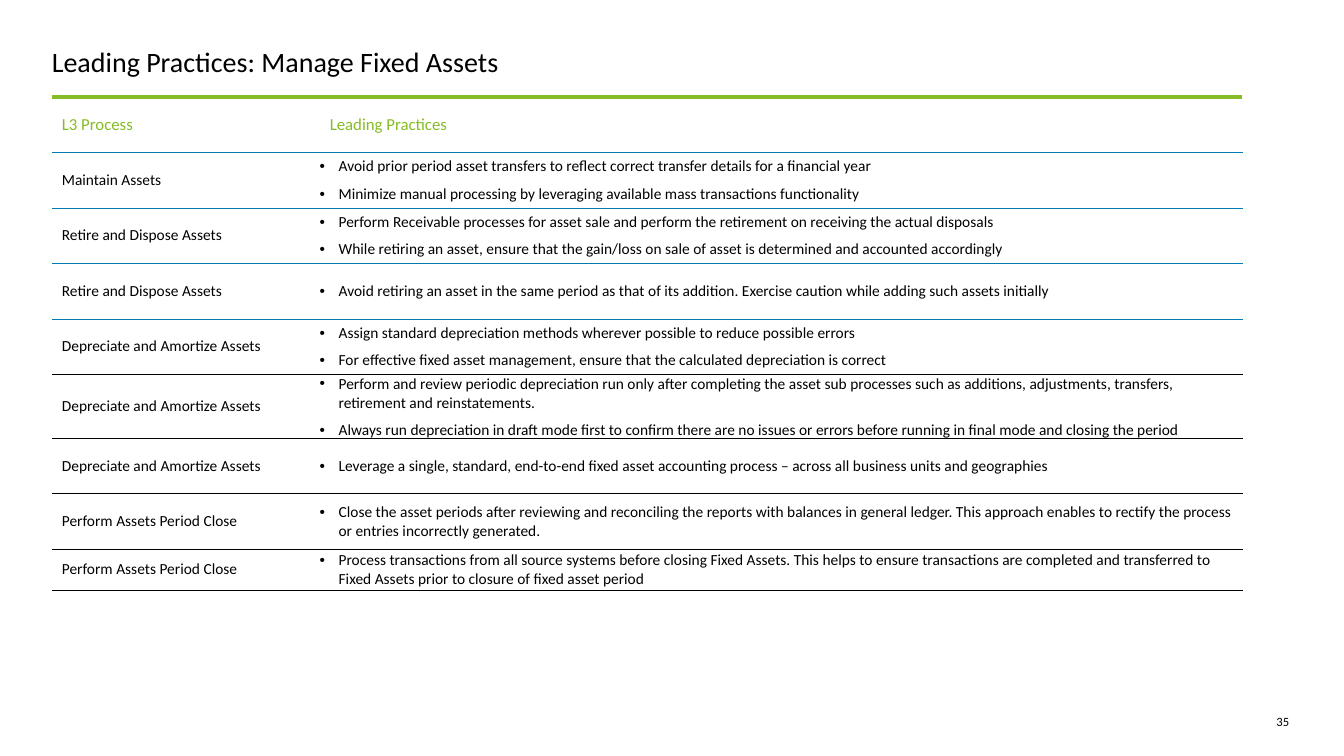
from dataclasses import dataclass

import pptx
import pptx.dml.color
import pptx.enum.text
import pptx.oxml
import pptx.oxml.ns
import pptx.util
from lxml import etree

Pt = pptx.util.Pt
PP_ALIGN = pptx.enum.text.PP_ALIGN


@dataclass(frozen=True)
class Theme:
    font: str = "Calibri"
    text: str = "000000"
    green: str = "86BC25"
    blue: str = "007CB0"
    white: str = "FFFFFF"
    title_size: float = 20
    header_size: float = 12
    body_size: float = 11
    number_size: float = 9


@dataclass(frozen=True)
class Border:
    color: str
    width: float


@dataclass(frozen=True)
class PracticeRow:
    process: str
    practices: tuple[str, ...]
    height: float = 39.6


THEME = Theme()
HEADER_RULE = Border(THEME.green, 3)
BLUE_RULE = Border(THEME.blue, 0.25)
BLACK_RULE = Border(THEME.text, 0.25)
HEADER_EDGE = Border(THEME.white, 0.5)
BLUE_RULE_COUNT = 4
HEADER_HEIGHT = 39.6
COLUMN_WIDTHS = (191.4, 659.3)
LABEL_INSET = 7.2
BULLET_INDENT = 13.5
NO_STYLE_ID = "{2D5ABB26-0587-4C30-8999-92F81FD0307C}"

ROWS = (
    PracticeRow("Maintain Assets", (
        "Avoid prior period asset transfers to reflect correct transfer details for a financial year",
        "Minimize manual processing by leveraging available mass transactions functionality",
    )),
    PracticeRow("Retire and Dispose Assets", (
        "Perform Receivable processes for asset sale and perform the retirement on receiving the actual disposals",
        "While retiring an asset, ensure that the gain/loss on sale of asset is determined and accounted accordingly",
    )),
    PracticeRow("Retire and Dispose Assets", (
        "Avoid retiring an asset in the same period as that of its addition. "
        "Exercise caution while adding such assets initially",
    )),
    PracticeRow("Depreciate and Amortize Assets", (
        "Assign standard depreciation methods wherever possible to reduce possible errors",
        "For effective fixed asset management, ensure that the calculated depreciation is correct",
    )),
    PracticeRow("Depreciate and Amortize Assets", (
        "Perform and review periodic depreciation run only after completing the asset sub processes "
        "such as additions, adjustments, transfers, retirement and reinstatements.",
        "Always run depreciation in draft mode first to confirm there are no issues or errors "
        "before running in final mode and closing the period",
    )),
    PracticeRow("Depreciate and Amortize Assets", (
        "Leverage a single, standard, end-to-end fixed asset accounting process – "
        "across all business units and geographies",
    )),
    PracticeRow("Perform Assets Period Close", (
        "Close the asset periods after reviewing and reconciling the reports with balances in general ledger. "
        "This approach enables to rectify the process or entries incorrectly generated.",
    )),
    PracticeRow("Perform Assets Period Close", (
        "Process transactions from all source systems before closing Fixed Assets. "
        "This helps to ensure transactions are completed and transferred to "
        "Fixed Assets prior to closure of fixed asset period",
    ), height=29.5),
)


def write_text(text_frame, *lines: str, size: float, color: str = THEME.text,
               align=PP_ALIGN.LEFT, bulleted: bool = False) -> None:
    """Write one paragraph per line into an empty text frame."""
    for index, line in enumerate(lines):
        paragraph = text_frame.add_paragraph() if index else text_frame.paragraphs[0]
        paragraph.alignment = align
        if bulleted:
            paragraph.space_after = Pt(6)
            properties = paragraph._p.get_or_add_pPr()
            properties.set("marL", str(Pt(BULLET_INDENT)))
            properties.set("indent", str(-Pt(BULLET_INDENT)))
            etree.SubElement(properties, pptx.oxml.ns.qn("a:buFont")).set("typeface", "Arial")
            etree.SubElement(properties, pptx.oxml.ns.qn("a:buChar")).set("char", "•")
        run = paragraph.add_run()
        run.text = line
        run.font.name = THEME.font
        run.font.size = Pt(size)
        run.font.color.rgb = pptx.dml.color.RGBColor.from_string(color)


def add_text_box(slide, left: float, top: float, width: float, height: float,
                 text: str, **text_format) -> None:
    text_frame = slide.shapes.add_textbox(Pt(left), Pt(top), Pt(width), Pt(height)).text_frame
    text_frame.word_wrap = True
    text_frame.margin_left = text_frame.margin_right = 0
    text_frame.margin_top = text_frame.margin_bottom = 0
    write_text(text_frame, text, **text_format)


def set_borders(cell, top: Border, bottom: Border, right: Border | None = None) -> None:
    properties = cell._tc.get_or_add_tcPr()
    for side, border in (("L", None), ("R", right), ("T", top), ("B", bottom)):
        line = etree.SubElement(properties, pptx.oxml.ns.qn(f"a:ln{side}"))
        if border is None:
            line.set("w", "0")
            etree.SubElement(line, pptx.oxml.ns.qn("a:noFill"))
        else:
            line.set("w", str(Pt(border.width)))
            fill = etree.SubElement(line, pptx.oxml.ns.qn("a:solidFill"))
            etree.SubElement(fill, pptx.oxml.ns.qn("a:srgbClr")).set("val", border.color)


def fill_cell(cell, *lines: str, top: Border, bottom: Border, inset: float = LABEL_INSET,
              right: Border | None = None, fill: str | None = None, **text_format) -> None:
    cell.vertical_anchor = pptx.enum.text.MSO_ANCHOR.MIDDLE
    cell.margin_left = cell.margin_right = Pt(inset)
    cell.margin_top = cell.margin_bottom = Pt(inset)
    set_borders(cell, top, bottom, right)
    if fill is None:
        cell.fill.background()
    else:
        cell.fill.solid()
        cell.fill.fore_color.rgb = pptx.dml.color.RGBColor.from_string(fill)
    write_text(cell.text_frame, *lines, **text_format)


def add_practice_table(slide, left: float, top: float) -> None:
    heights = (HEADER_HEIGHT, *(row.height for row in ROWS))
    frame = slide.shapes.add_table(len(heights), len(COLUMN_WIDTHS), Pt(left), Pt(top),
                                   Pt(sum(COLUMN_WIDTHS)), Pt(sum(heights)))
    table = frame.table
    table.first_row = table.horz_banding = False
    table._tbl.tblPr.find(pptx.oxml.ns.qn("a:tableStyleId")).text = NO_STYLE_ID
    for column, width in zip(table.columns, COLUMN_WIDTHS):
        column.width = Pt(width)
    for table_row, height in zip(table.rows, heights):
        table_row.height = Pt(height)

    header = dict(top=HEADER_RULE, bottom=BLUE_RULE, size=THEME.header_size, color=THEME.green)
    fill_cell(table.cell(0, 0), "L3 Process", **header)
    fill_cell(table.cell(0, 1), "Leading Practices", right=HEADER_EDGE, fill=THEME.white, **header)

    for index, row in enumerate(ROWS, start=1):
        body = dict(top=BLUE_RULE if index <= BLUE_RULE_COUNT else BLACK_RULE,
                    bottom=BLUE_RULE if index < BLUE_RULE_COUNT else BLACK_RULE,
                    size=THEME.body_size)
        fill_cell(table.cell(index, 0), row.process, **body)
        fill_cell(table.cell(index, 1), *row.practices, inset=0, bulleted=True, **body)


def main() -> None:
    presentation = pptx.Presentation()
    presentation.slide_width, presentation.slide_height = Pt(960), Pt(540)
    slide = presentation.slides.add_slide(presentation.slide_layouts[6])
    add_text_box(slide, 896.4, 509.8, 24.5, 10.8, "35",
                 size=THEME.number_size, align=PP_ALIGN.RIGHT)
    add_text_box(slide, 37, 31.7, 886.3, 54.7, "Leading Practices: Manage Fixed Assets",
                 size=THEME.title_size)
    add_practice_table(slide, 37, 69.3)
    presentation.save("out.pptx")


if __name__ == "__main__":
    main()
